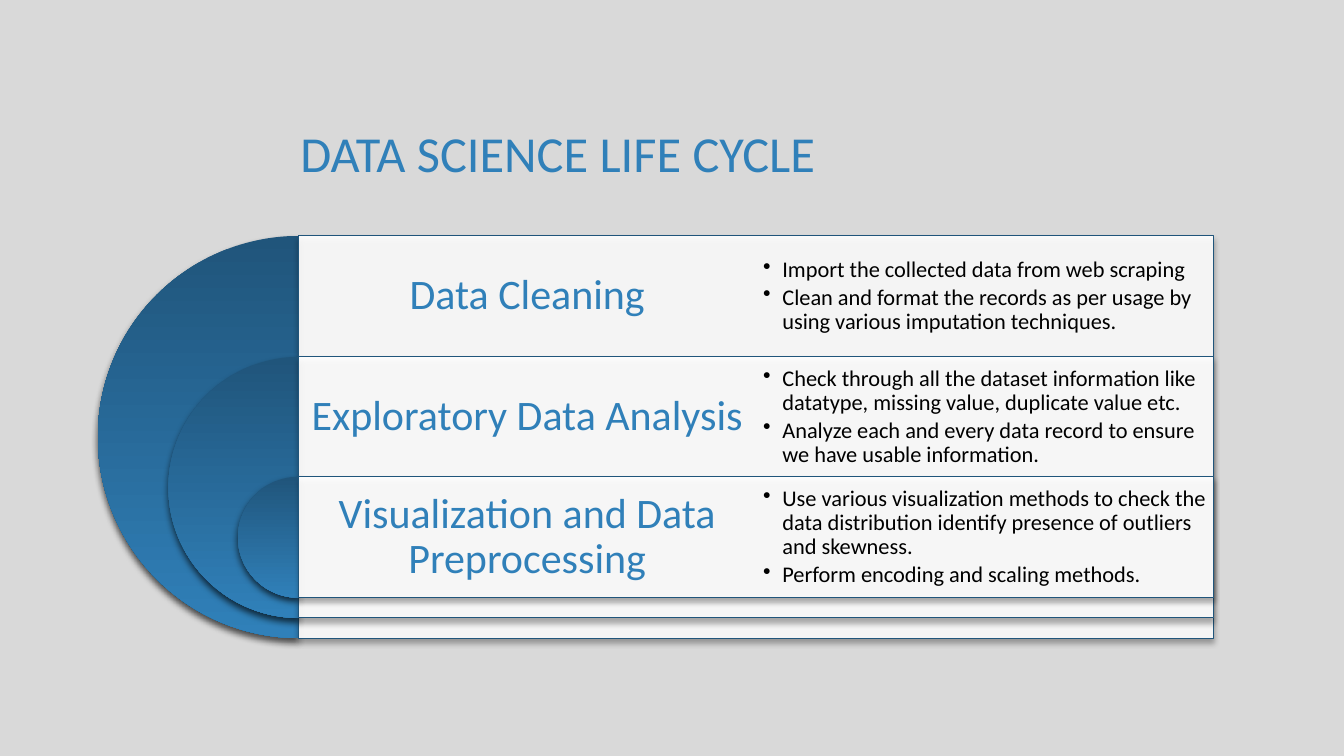
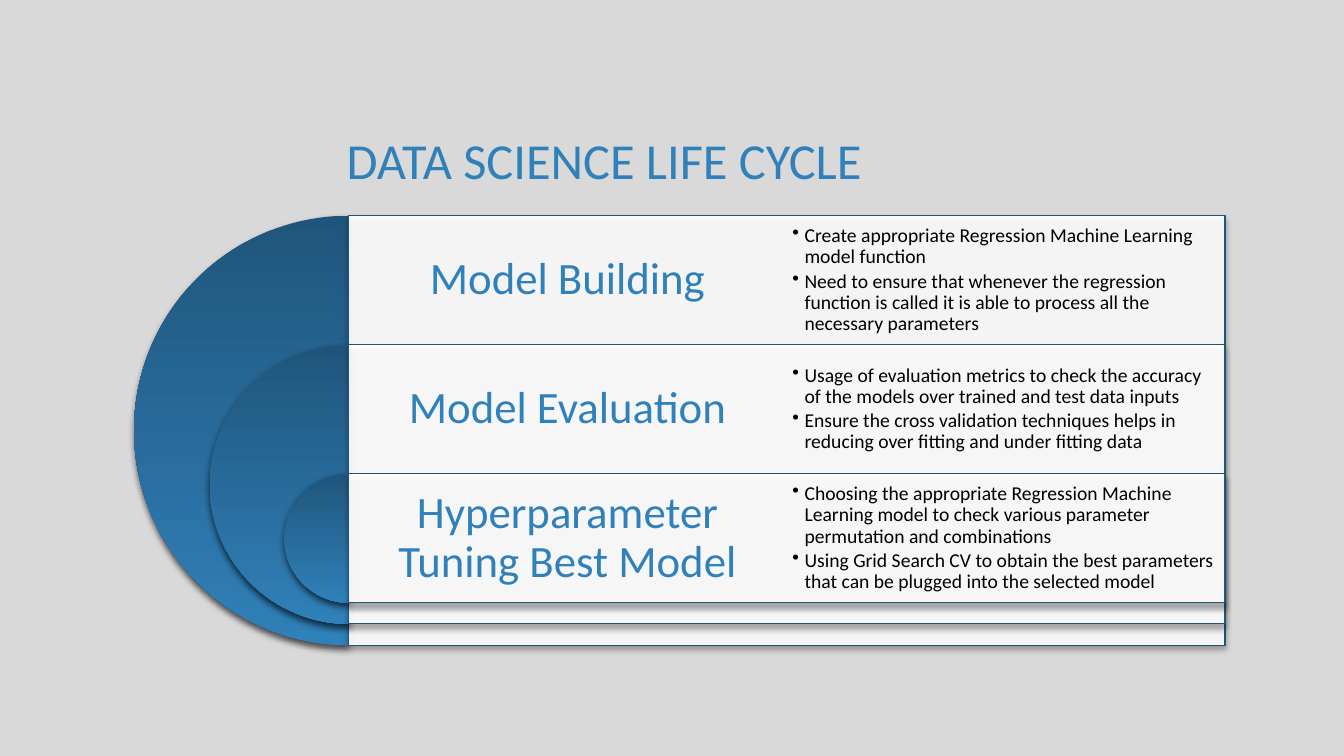
from lxml import etree
from pptx import Presentation
from pptx import util as u
from pptx.dml.color import RGBColor
from pptx.enum import shapes, text
from pptx.oxml import ns

PX = 9144
FONT = "Calibri"
GREY, NAVY, BLUE, WHITE, BLACK = "D9D9D9", "20557B", "3080B9", "FFFFFF", "000000"
TITLE = "DATA SCIENCE LIFE CYCLE"

SLIDES = [
    {
        "title": (288, 75, 1000, 159),
        "left": 97, "top": 234, "size": 399, "width": 908,
        "heading": (30, 12), "detail": (16, 7, 19),
        "stages": [
            ("Data Cleaning", [
                "Import the collected data from web scraping",
                "Clean and format the records as per usage by using various imputation techniques."]),
            ("Exploratory Data Analysis", [
                "Check through all the dataset information like datatype, missing value, duplicate value etc.",
                "Analyze each and every data record to ensure we have usable information."]),
            ("Visualization and Data Preprocessing", [
                "Use various visualization methods to check the data distribution identify presence of outliers and skewness.",
                "Perform encoding and scaling methods."]),
        ],
    },
    {
        "title": (334, 116, 592, 92),
        "left": 133, "top": 214, "size": 426, "width": 869,
        "heading": (32, 13), "detail": (14, 6, 12),
        "stages": [
            ("Model Building", [
                "Create appropriate Regression Machine Learning model function",
                "Need to ensure that whenever the regression function is called it is able to process all the necessary parameters"]),
            ("Model Evaluation", [
                "Usage of evaluation metrics to check the accuracy of the models over trained and test data inputs",
                "Ensure the cross validation techniques helps in reducing over fitting and under fitting data"]),
            ("Hyperparameter Tuning Best Model", [
                "Choosing the appropriate Regression Machine Learning model to check various parameter permutation and combinations",
                "Using Grid Search CV to obtain the best parameters that can be plugged into the selected model"]),
        ],
    },
]


def px(n):
    return u.Emu(n * PX)


def color(code):
    return RGBColor.from_string(code)


def add_xml(parent, tag, **attrs):
    el = etree.SubElement(parent, ns.qn(tag))
    for name, value in attrs.items():
        el.set(name, str(value))
    return el


def add_shadow(sp, alpha, blur, dist):
    sp.shadow.inherit = False
    effects = sp._element.spPr.find(ns.qn("a:effectLst"))
    shadow = add_xml(effects, "a:outerShdw", blurRad=u.Pt(blur), dist=u.Pt(dist),
                     dir=5400000, rotWithShape=0)
    add_xml(add_xml(shadow, "a:srgbClr", val=BLACK), "a:alpha", val=alpha * 1000)


def add_half_disc(s, x, y, size):
    sp = s.shapes.add_shape(shapes.MSO_SHAPE.PIE, px(x), px(y), px(size), px(size))
    sp.adjustments[0], sp.adjustments[1] = 54, 162
    sp.fill.gradient()
    sp.fill.gradient_angle = 270
    for stop, code, position in zip(sp.fill.gradient_stops, (NAVY, BLUE), (0, 1)):
        stop.color.rgb = color(code)
        stop.position = position
    sp.line.fill.background()
    add_shadow(sp, 65, 5, 3)


def add_panel(s, x, y, w, h):
    sp = s.shapes.add_shape(shapes.MSO_SHAPE.RECTANGLE, px(x), px(y), px(w), px(h))
    sp.fill.solid()
    sp.fill.fore_color.rgb = color(WHITE)
    fill = sp._element.spPr.find(ns.qn("a:solidFill"))
    add_xml(fill[0], "a:alpha", val=90000)
    sp.line.color.rgb = color(NAVY)
    sp.line.width = u.Pt(0.75)
    add_shadow(sp, 35, 4, 3)


def add_text(s, box, lines, size, code, inset=(10, 5), align=text.PP_ALIGN.LEFT,
             spacing=0.9, bullet_indent=0):
    tf = s.shapes.add_textbox(*map(px, box)).text_frame
    tf.word_wrap = True
    tf.vertical_anchor = text.MSO_ANCHOR.MIDDLE
    tf.margin_left = tf.margin_right = px(inset[0])
    tf.margin_top = tf.margin_bottom = px(inset[1])
    for i, line in enumerate(lines):
        p = tf.add_paragraph() if i else tf.paragraphs[0]
        p.alignment = align
        p.line_spacing = spacing
        if bullet_indent:
            p.space_after = u.Pt(size * 0.15)
            pPr = p._p.get_or_add_pPr()
            pPr.set("marL", str(px(bullet_indent)))
            pPr.set("indent", str(px(-bullet_indent)))
            add_xml(pPr, "a:buChar", char="•")
        r = p.add_run()
        r.text = line
        r.font.name = FONT
        r.font.size = u.Pt(size)
        r.font.color.rgb = color(code)


def add_stages(s, data):
    size, width = data["size"], data["width"]
    center = data["left"] + size // 2
    row, column = round(size * 0.3), width // 2
    heading_size, heading_inset = data["heading"]
    detail_size, detail_inset, indent = data["detail"]
    for i, (heading, details) in enumerate(data["stages"]):
        y = data["top"] + round(size * 0.3 * i)
        diameter = round(size * (1 - 0.35 * i))
        add_half_disc(s, center - diameter // 2, y, diameter)
        add_panel(s, center, y, width, diameter)
        add_text(s, (center, y, column, row), [heading], heading_size, BLUE,
                 (heading_inset, heading_inset), text.PP_ALIGN.CENTER)
        add_text(s, (center + column, y, column, row), details, detail_size, BLACK,
                 (detail_inset, detail_inset), bullet_indent=indent)


def add_slide(prs, data):
    s = prs.slides.add_slide(prs.slide_layouts[6])
    s.background.fill.solid()
    s.background.fill.fore_color.rgb = color(GREY)
    add_text(s, data["title"], [TITLE], 36, BLUE)
    add_stages(s, data)


def main():
    prs = Presentation()
    prs.slide_width, prs.slide_height = px(1333), px(750)
    for data in SLIDES:
        add_slide(prs, data)
    prs.save("out.pptx")


if __name__ == "__main__":
    main()
